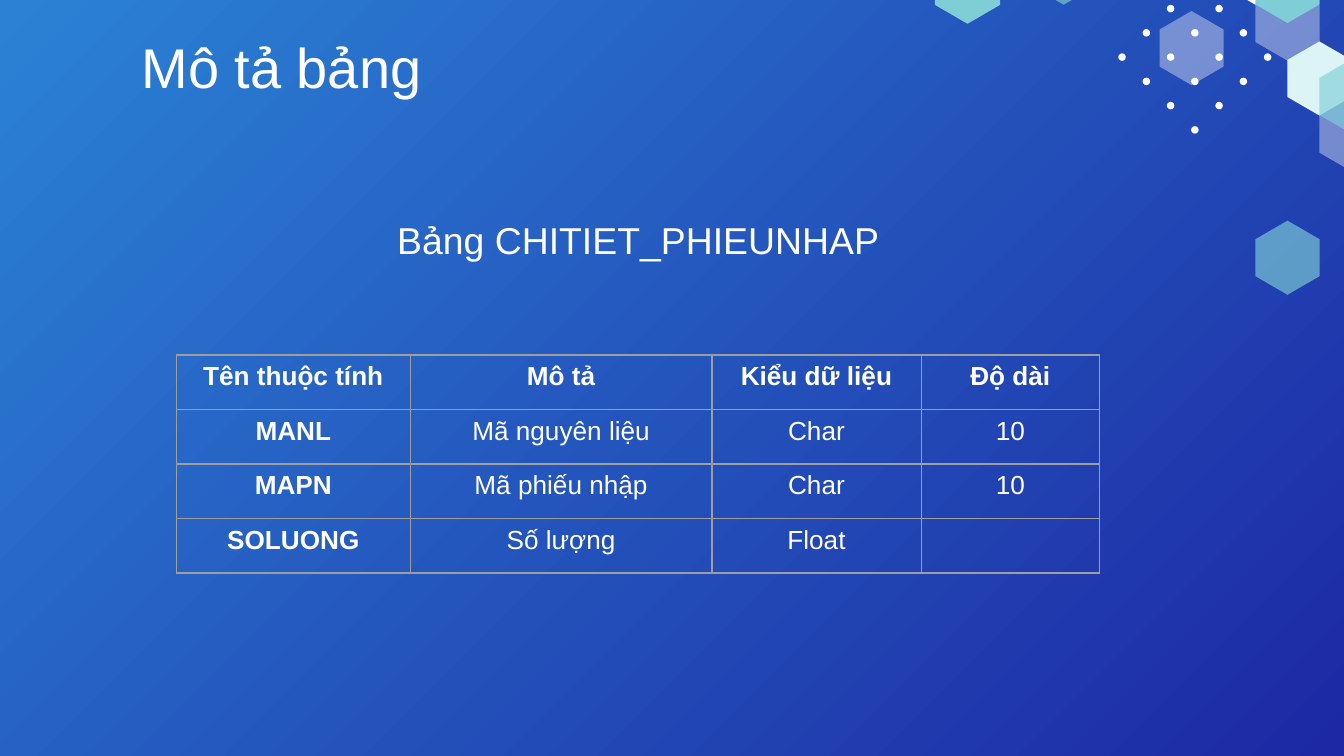
from pptx import Presentation
from pptx.dml.color import RGBColor
from pptx.enum import shapes, text
from pptx.oxml import parse_xml
from pptx.oxml.ns import nsdecls
from pptx.util import Pt


def paint(fill, shade, alpha=100):
    fill.solid()
    fill.fore_color.rgb = RGBColor.from_string(shade)
    if alpha < 100:
        node = parse_xml(f'<a:alpha {nsdecls("a")} val="{alpha * 1000}"/>')
        fill._xPr.find(".//{*}srgbClr").append(node)


def write(frame, words, size, bold=False):
    frame.text = words
    para = frame.paragraphs[0]
    para.alignment = text.PP_ALIGN.CENTER
    for run in para.runs:
        run.font.name = "Arial"
        run.font.size = Pt(size)
        run.font.bold = bold
        paint(run.font.fill, "FFFFFF")


deck = Presentation()
deck.slide_width, deck.slide_height = Pt(720), Pt(405)
slide = deck.slides.add_slide(deck.slide_layouts[6])

back = slide.background.fill
back.gradient()
back.gradient_angle = 315
for stop, shade in zip(back.gradient_stops, ("2B82D5", "1D28A4")):
    stop.color.rgb = RGBColor.from_string(shade)

step, size = 13, 4
for row, count in enumerate((2, 3, 4, 3, 2, 1)):
    for col in range(count):
        x = 640.1 + (2 * col - count + 1) * step
        y = 4.6 + row * step
        dot = slide.shapes.add_shape(
            shapes.MSO_SHAPE.OVAL, Pt(x - size / 2), Pt(y - size / 2), Pt(size), Pt(size))
        dot.shadow.inherit = False
        paint(dot.fill, "FFFFFF")
        dot.line.fill.background()

wide, tall = 34.3, 39.7
tiles = [
    (672.6, -7.2, "FFFFFF", 38),
    (655.4, -37.2, "FFFFFF", 100),
    (552.7, -37.2, "7FCED6", 65),
    (689.7, 22.2, "DDF4F7", 100),
    (706.8, 52, "FFFFFF", 38),
    (621.2, 5.9, "FFFFFF", 38),
    (672.6, -27.4, "7FCED6", 100),
    (501.2, -27.4, "7FCED6", 100),
    (706.8, 31.8, "7FCED6", 65),
    (672.6, 118.2, "7FCED6", 65),
]
for x, y, shade, alpha in tiles:
    mid, end = x + wide / 2, x + wide
    high, low = y + tall / 4, y + tall * 3 / 4
    path = slide.shapes.build_freeform(Pt(mid), Pt(y))
    spots = [(end, high), (end, low), (mid, y + tall), (x, low), (x, high)]
    path.add_line_segments([(Pt(a), Pt(b)) for a, b in spots])
    tile = path.convert_to_shape()
    tile.shadow.inherit = False
    paint(tile.fill, shade, alpha)
    if x == 501.2:
        paint(tile.line.fill, shade)
        tile.line.width = Pt(0.75)
    else:
        tile.line.fill.background()

heads = [
    ("Mô tả bảng", 30, 35.3, 15.8, 231.1),
    ("Bảng CHITIET_PHIEUNHAP", 20, 133.2, 103, 417.6),
]
for words, size, x, y, width in heads:
    frame = slide.shapes.add_textbox(Pt(x), Pt(y), Pt(width), Pt(44.6)).text_frame
    frame.word_wrap = True
    frame.vertical_anchor = text.MSO_ANCHOR.BOTTOM
    frame.margin_left = frame.margin_right = Pt(7.2)
    frame.margin_top = frame.margin_bottom = Pt(7.2)
    write(frame, words, size)

rows = [
    ("Tên thuộc tính", "Mô tả", "Kiểu dữ liệu", "Độ dài"),
    ("MANL", "Mã nguyên liệu", "Char", "10"),
    ("MAPN", "Mã phiếu nhập", "Char", "10"),
    ("SOLUONG", "Số lượng", "Float", ""),
]
widths = (125.3, 161.6, 112.1, 95.6)
table = slide.shapes.add_table(
    len(rows), len(widths), Pt(94.5), Pt(190.2), Pt(sum(widths)), Pt(116.8)).table
table.first_row = table.horz_banding = False
for col, width in zip(table.columns, widths):
    col.width = Pt(width)
for r, row in enumerate(rows):
    table.rows[r].height = Pt(29.2)
    for c, words in enumerate(row):
        cell = table.cell(r, c)
        write(cell.text_frame, words, 14, r == 0 or c == 0)
        cell.fill.background()
        props = cell._tc.get_or_add_tcPr()
        for spot, side in enumerate("LRTB"):
            props.insert(spot, parse_xml(
                f'<a:ln{side} {nsdecls("a")} w="{Pt(0.75)}"><a:solidFill>'
                f'<a:srgbClr val="9E9E9E"/></a:solidFill></a:ln{side}>'))

deck.save("out.pptx")
